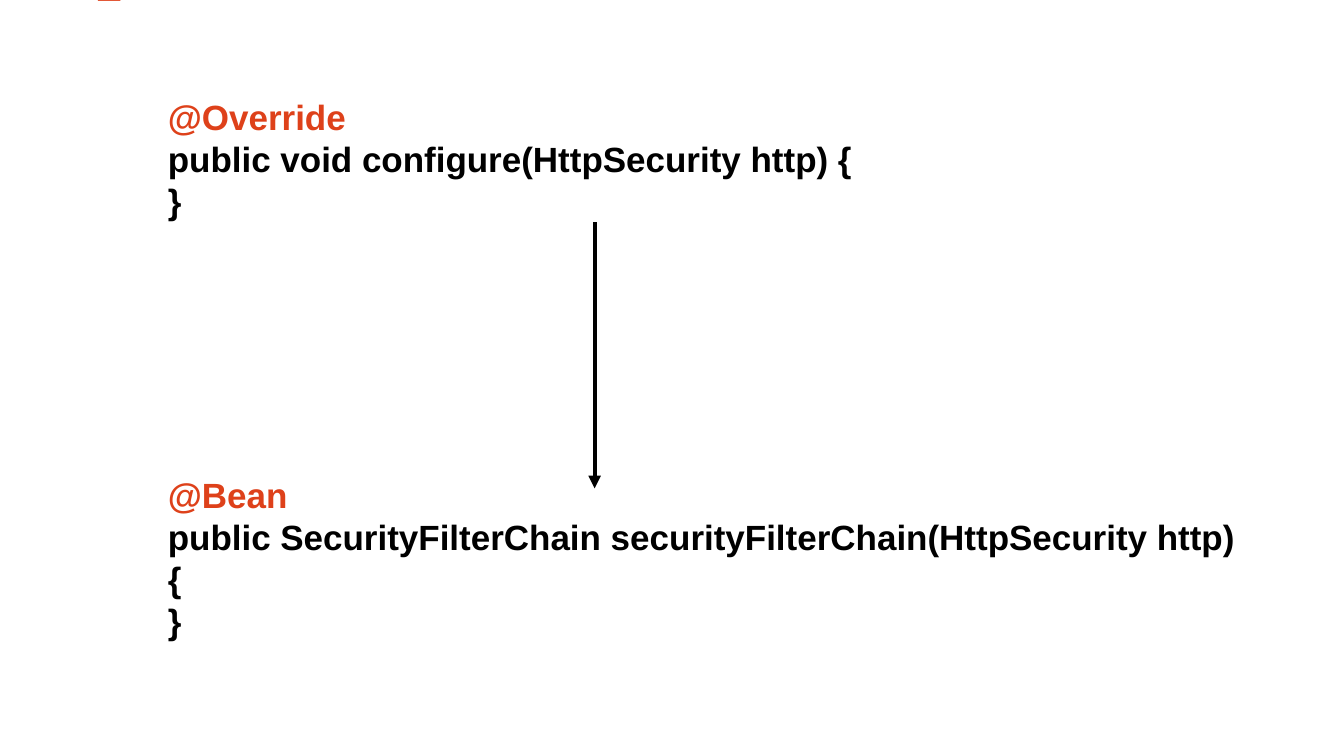
"""Build a slide showing the move from a configure override to a filter chain bean."""
from lxml.etree import SubElement
from pptx import Presentation
from pptx.dml.color import RGBColor
from pptx.enum.shapes import MSO_CONNECTOR as Connector, MSO_SHAPE as Shape
from pptx.enum.text import MSO_ANCHOR as Anchor, PP_ALIGN as Align
from pptx.oxml.ns import qn
from pptx.util import Cm, Pt

ACCENT = RGBColor(0xDE, 0x41, 0x1B)
ANNOTATION = RGBColor(0xDE, 0x41, 0x1A)
BLACK = RGBColor(0, 0, 0)
WHITE = RGBColor(0xFF, 0xFF, 0xFF)

SLIDE_WIDTH, SLIDE_HEIGHT = 67.74, 38.1
EDGE = 0.05
CODE_LEFT = 8.46
ARROW_X, ARROW_TOP, ARROW_BOTTOM = 29.97, 11.2, 24.61

CODE_BLOCKS = [
    {"top": 4.8, "width": 43.69, "height": 6.4,
     "lines": ["@Override", "public void configure(HttpSecurity http) {", "}"]},
    {"top": 23.83, "width": 54.74, "height": 8.56,
     "lines": ["@Bean",
               "public SecurityFilterChain securityFilterChain(HttpSecurity http) {",
               "}"]},
]


def add_rectangle(slide, left, top, width, height, color):
    shape = slide.shapes.add_shape(
        Shape.RECTANGLE, Cm(left), Cm(top), Cm(width), Cm(height))
    shape.shadow.inherit = False
    shape.fill.solid()
    shape.fill.fore_color.rgb = color
    shape.line.fill.background()
    return shape


def add_code(slide, block):
    shape = add_rectangle(slide, CODE_LEFT, block["top"],
                          block["width"], block["height"], WHITE)
    frame = shape.text_frame
    frame.word_wrap = True
    frame.vertical_anchor = Anchor.MIDDLE
    frame.margin_left = frame.margin_right = 0
    frame.margin_top = frame.margin_bottom = 0
    frame.text = "\n".join(block["lines"])
    for paragraph in frame.paragraphs:
        paragraph.alignment = Align.LEFT
        font = paragraph.font
        font.name, font.size, font.bold = "Arial", Pt(50), True
        font.color.rgb = ANNOTATION if paragraph.text.startswith("@") else BLACK


def add_arrow(slide):
    arrow = slide.shapes.add_connector(
        Connector.STRAIGHT, Cm(ARROW_X), Cm(ARROW_TOP), Cm(ARROW_X), Cm(ARROW_BOTTOM))
    arrow.line.color.rgb = BLACK
    arrow.line.width = Pt(6)
    SubElement(arrow.line._get_or_add_ln(), qn("a:tailEnd"), type="triangle")
    SubElement(arrow._element.spPr, qn("a:effectLst"))


def main():
    presentation = Presentation()
    presentation.slide_width = Cm(SLIDE_WIDTH)
    presentation.slide_height = Cm(SLIDE_HEIGHT)
    slide = presentation.slides.add_slide(presentation.slide_layouts[6])
    add_rectangle(slide, 4.93, 0, 1.14, 0.13, ACCENT)
    add_rectangle(slide, EDGE, EDGE, SLIDE_WIDTH - EDGE, SLIDE_HEIGHT - EDGE, WHITE)
    for block in CODE_BLOCKS:
        add_code(slide, block)
    add_arrow(slide)
    presentation.save("out.pptx")


if __name__ == "__main__":
    main()
